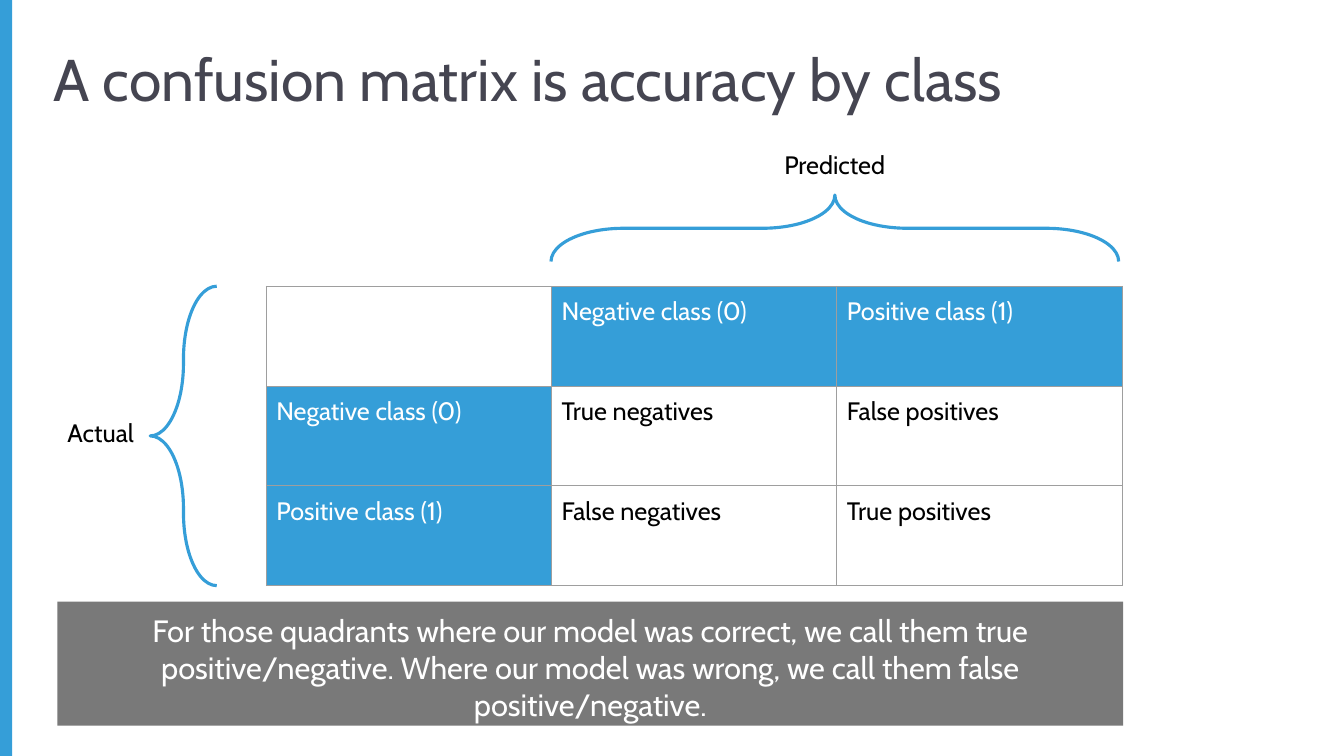
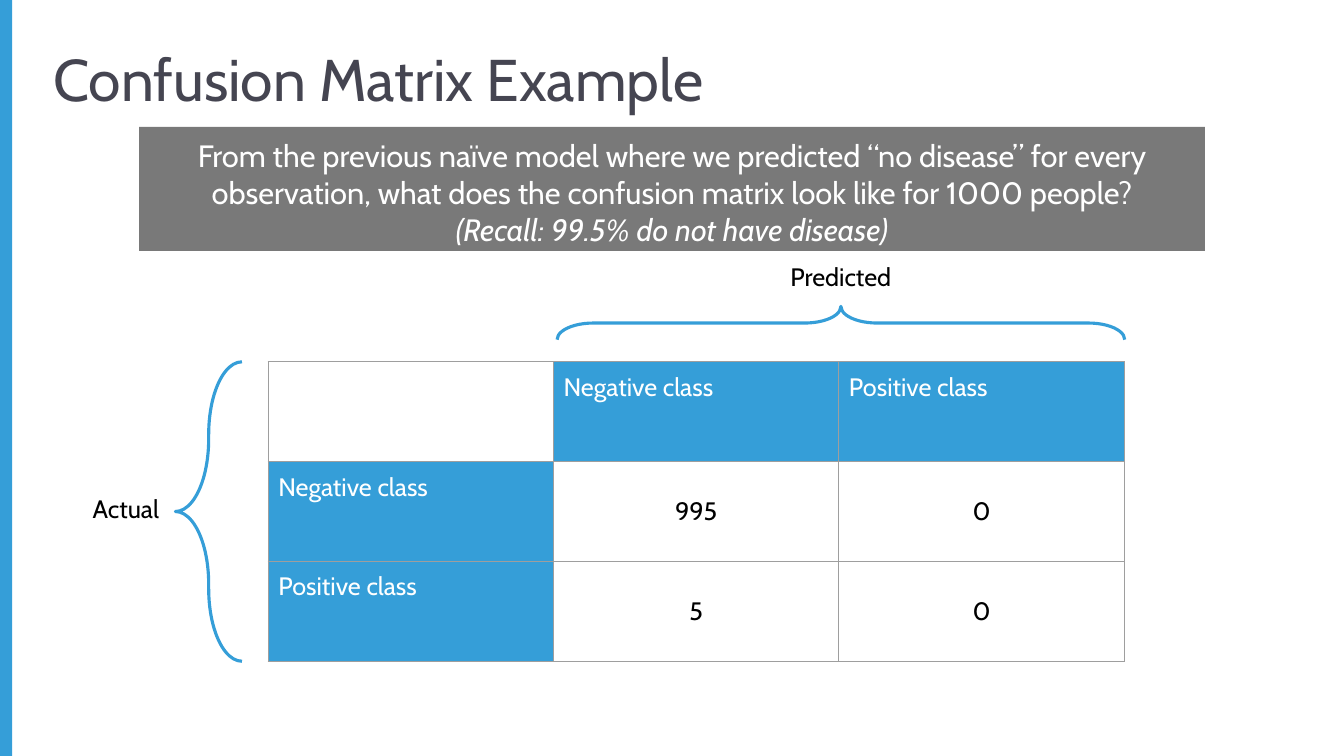
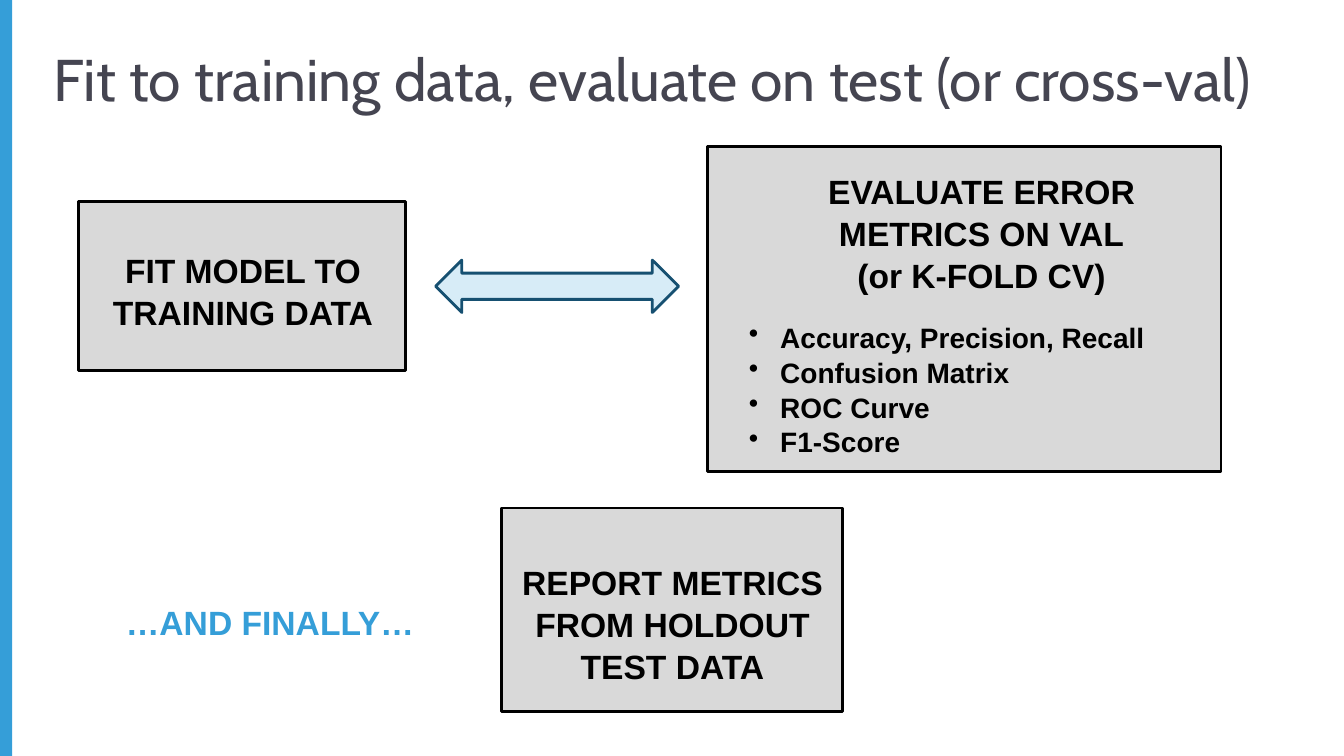
from lxml import etree
from pptx import Presentation
from pptx.dml.color import RGBColor
from pptx.enum import shapes, text
from pptx.oxml.ns import qn
from pptx.util import Inches, Pt

BLUE = RGBColor(0x35, 0x9E, 0xD8)
PALE = RGBColor(0xD7, 0xEC, 0xF7)
NAVY = RGBColor(0x16, 0x50, 0x71)
SLATE = RGBColor(0x45, 0x45, 0x51)
GRAY = RGBColor(0x79, 0x79, 0x79)
LIGHT = RGBColor(0xD9, 0xD9, 0xD9)
EDGE = "9E9E9E"
BLACK = RGBColor(0, 0, 0)
WHITE = RGBColor(0xFF, 0xFF, 0xFF)
LEFT, MID = text.PP_ALIGN.LEFT, text.PP_ALIGN.CENTER
TOP, CENTER = text.MSO_ANCHOR.TOP, text.MSO_ANCHOR.MIDDLE
KIND = shapes.MSO_SHAPE


def write(frame, *lines, size=18, color=BLACK, font="Cabin", bold=None,
          align=LEFT, pad=0.1, space=None):
    """Fill a text frame, one paragraph a line, and return the paragraphs."""
    frame.word_wrap = True
    frame.vertical_anchor = TOP
    frame.margin_left = frame.margin_right = Inches(0.1)
    frame.margin_top = frame.margin_bottom = Inches(pad)
    for n, line in enumerate(lines):
        para = frame.add_paragraph() if n else frame.paragraphs[0]
        para.alignment = align
        para.line_spacing = space
        run = para.add_run()
        run.text = line
        run.font.size, run.font.name, run.font.bold = Pt(size), font, bold
        run.font.color.rgb = color
    return frame.paragraphs


def draw(slide, kind, at, fill=None, line=None, width=2):
    """Add a preset shape without shadow."""
    shape = slide.shapes.add_shape(kind, *map(Inches, at))
    shape.shadow.inherit = False
    if fill is None:
        shape.fill.background()
    else:
        shape.fill.solid()
        shape.fill.fore_color.rgb = fill
    if line is None:
        shape.line.fill.background()
    else:
        shape.line.color.rgb = line
        shape.line.width = Pt(width)
    return shape


deck = Presentation()
deck.slide_width, deck.slide_height = Inches(13.33), Inches(7.5)

# Shared layout: title place
layout = deck.slide_layouts.get_by_name("Title Only")
head = layout.placeholders[0]
head.left, head.top = Inches(0.43), Inches(0.37)
head.width, head.height = Inches(12.61), Inches(1.08)
head.text_frame.auto_size = text.MSO_AUTO_SIZE.NONE

# Slides and titles
pages = []
for title in ("A confusion matrix is accuracy by class",
              "Confusion Matrix Example",
              "Fit to training data, evaluate on test (or cross-val)"):
    page = deck.slides.add_slide(layout)
    write(page.shapes.title.text_frame, title, size=42, color=SLATE, pad=0.05)
    pages.append(page)

# Side band, moved to the master so that every slide shows it
band = draw(pages[0], KIND.RECTANGLE, (0, 0, 0.12, 7.5), BLUE)
deck.slide_master.element.cSld.spTree.insert(2, band.element)

# Slides 1 and 2: matrix with braces and a note
COL, ROW = 2.83, 0.99
matrices = [
    dict(page=pages[0], x=2.64, y=2.84, side=1.49, mid=8.28, arch=1.935,
         deep=0.66, label=1.38, note=(0.57, 5.97), align=LEFT,
         rows=[["", "Negative class (0)", "Positive class (1)"],
               ["Negative class (0)", "True negatives", "False positives"],
               ["Positive class (1)", "False negatives", "True positives"]],
         lines=["For those quadrants where our model was correct, we call "
                "them true positive/negative. Where our model was wrong, we "
                "call them false positive/negative."]),
    dict(page=pages[1], x=2.66, y=3.59, side=1.74, mid=8.34, arch=3.04,
         deep=0.33, label=2.49, note=(1.38, 1.26), align=MID,
         rows=[["", "Negative class", "Positive class"],
               ["Negative class", "995", "0"],
               ["Positive class", "5", "0"]],
         lines=["From the previous naïve model where we predicted “no "
                "disease” for every observation, what does the confusion "
                "matrix look like for 1000 people?",
                "(Recall: 99.5% do not have disease)"]),
]
for m in matrices:
    page, x, y = m["page"], m["x"], m["y"]

    # Table
    table = page.shapes.add_table(
        3, 3, Inches(x), Inches(y), Inches(3 * COL), Inches(3 * ROW)).table
    table.first_row = table.horz_banding = False
    for r, row in enumerate(m["rows"]):
        table.rows[r].height = Inches(ROW)
        table.columns[r].width = Inches(COL)
        for c, word in enumerate(row):
            cell = table.cell(r, c)
            cell.margin_top = cell.margin_bottom = Inches(0.1)
            props = cell._tc.get_or_add_tcPr()
            for side in ("a:lnL", "a:lnR", "a:lnT", "a:lnB"):
                edge = etree.SubElement(props, qn(side), w=str(Pt(0.75)))
                paint = etree.SubElement(edge, qn("a:solidFill"))
                etree.SubElement(paint, qn("a:srgbClr"), val=EDGE)
            inner = r > 0 and c > 0
            if inner or not word:
                cell.fill.background()
            else:
                cell.fill.solid()
                cell.fill.fore_color.rgb = BLUE
            if word:
                write(cell.text_frame, word, color=BLACK if inner else WHITE,
                      align=m["align"] if inner else LEFT)
            if inner and m["align"] == MID:
                cell.vertical_anchor = CENTER

    # Braces: the upper one is a left brace turned by 90 degrees
    deep, span = m["deep"], 5.63
    upper = (m["mid"] - deep / 2, m["arch"] + deep / 2 - span / 2, deep, span)
    for at, turn in ((upper, 90), ((m["side"], y, 0.66, 3 * ROW), 0)):
        brace = draw(page, KIND.LEFT_BRACE, at, line=BLUE, width=2.25)
        brace.adjustments[0] = 1.09
        brace.rotation = turn

    # Brace labels
    for word, at in (("Predicted", (m["mid"] - 0.6, m["label"], 1.29, 0.56)),
                     ("Actual", (m["side"] - 0.92, y + 1.2, 0.94, 0.56))):
        write(page.shapes.add_textbox(*map(Inches, at)).text_frame, word)

    # Note
    note = draw(page, KIND.RECTANGLE, (*m["note"], 10.57, 1.23), GRAY)
    paras = write(note.text_frame, *m["lines"], size=22, color=WHITE, align=MID)
    for para in paras[1:]:
        para.runs[0].font.italic = True

# Slide 3: workflow boxes and arrow
page = pages[2]
for at in ((0.78, 2, 3.24, 1.68), (7.02, 1.45, 5.09, 3.23),
           (4.97, 5.04, 3.39, 2.02)):
    draw(page, KIND.RECTANGLE, at, LIGHT, BLACK)
draw(page, KIND.LEFT_RIGHT_ARROW, (4.32, 2.58, 2.41, 0.52), PALE, NAVY)

# Workflow texts
steps = [
    ((0.64, 2.39, 3.54, 0.91), ["FIT MODEL TO TRAINING DATA"], BLACK, MID),
    ((7.33, 1.61, 4.81, 2.89),
     ["EVALUATE ERROR METRICS ON VAL", "(or K-FOLD CV)",
      "Accuracy, Precision, Recall", "Confusion Matrix", "ROC Curve",
      "F1-Score"], BLACK, MID),
    ((4.9, 5.49, 3.54, 1.31), ["REPORT METRICS FROM HOLDOUT TEST DATA"],
     BLACK, MID),
    ((1.15, 5.89, 5.32, 0.5), ["…AND FINALLY…"], BLUE, LEFT),
]
for at, lines, color, align in steps:
    box = page.shapes.add_textbox(*map(Inches, at))
    paras = write(box.text_frame, *lines, size=24, color=color, font="Arial",
                  bold=True, align=align, pad=0.07, space=1.04)

    # Bulleted metrics below the two heading lines
    for n, para in enumerate(paras[2:]):
        para.alignment = LEFT
        para.runs[0].font.size = Pt(20)
        if n == 0:
            para.space_before = Pt(17)
        props = para._p.get_or_add_pPr()
        props.set("marL", str(Inches(0.31)))
        props.set("indent", str(-Inches(0.31)))
        etree.SubElement(props, qn("a:buChar"), char="•")

deck.save("out.pptx")
